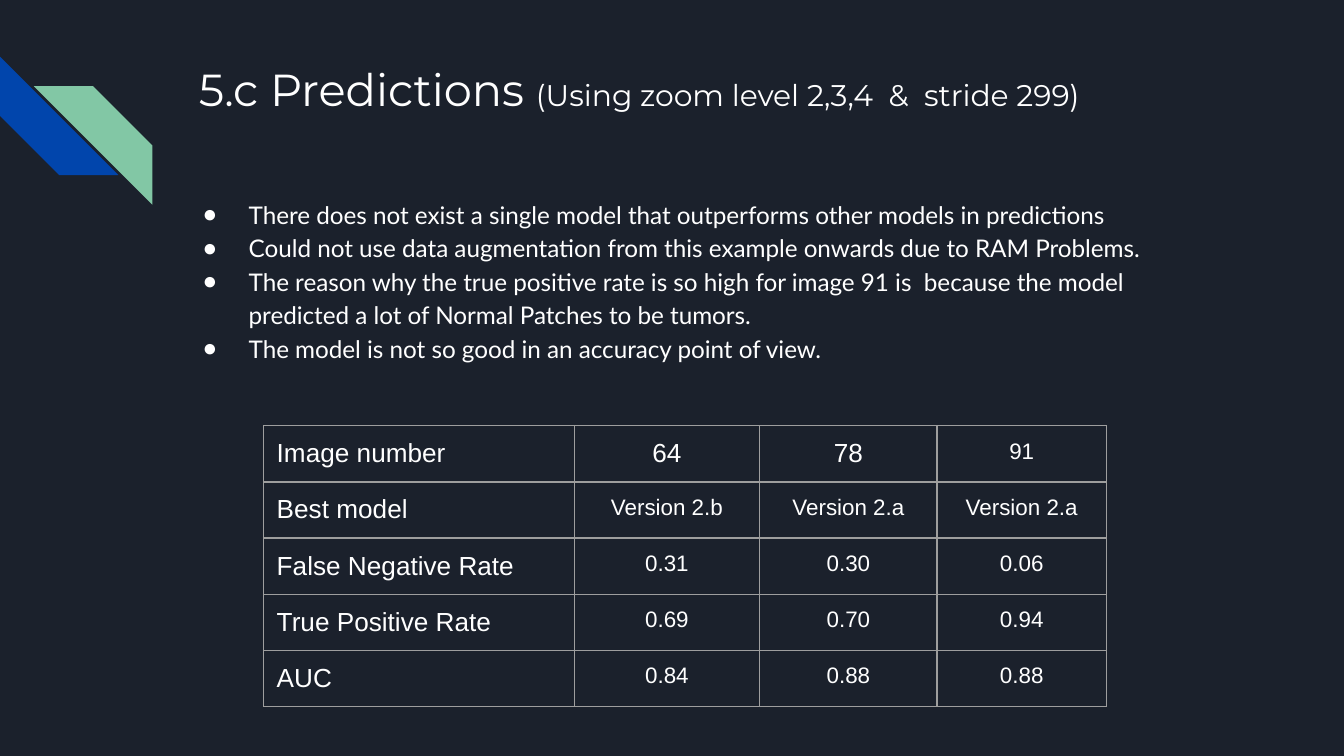
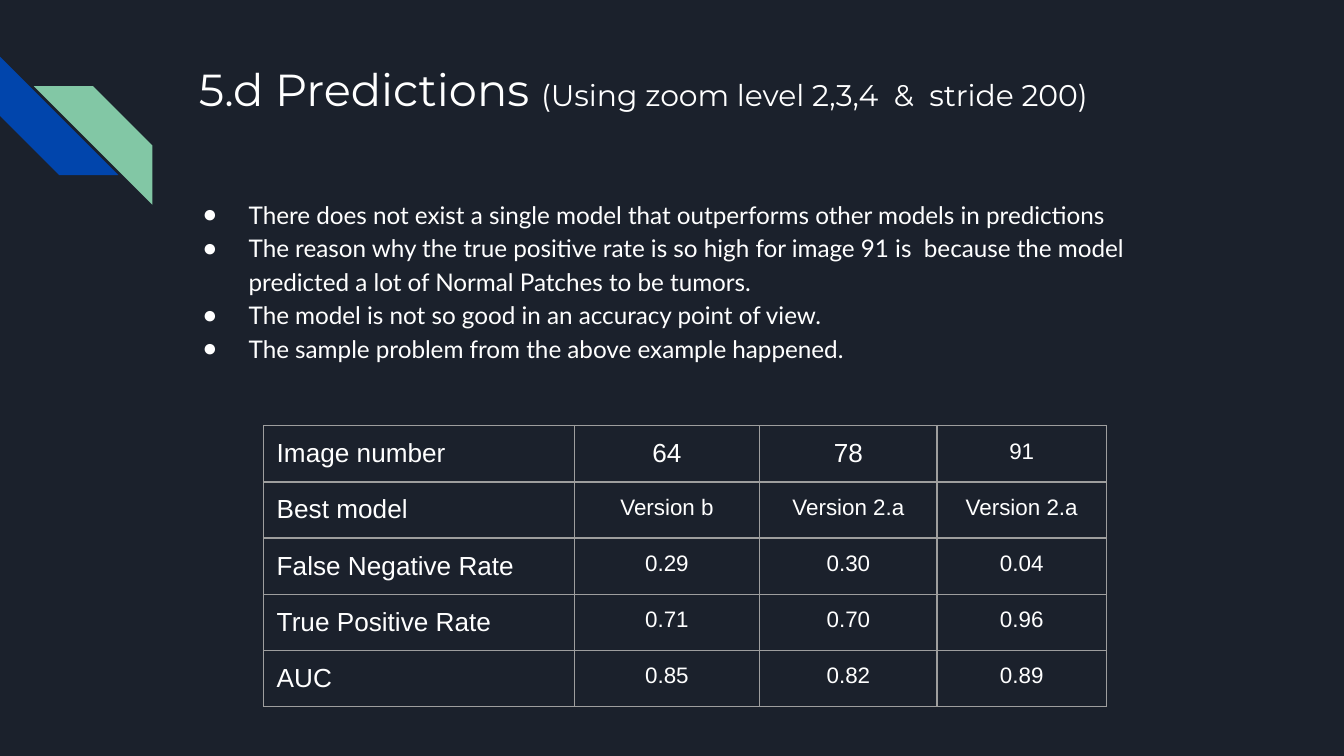
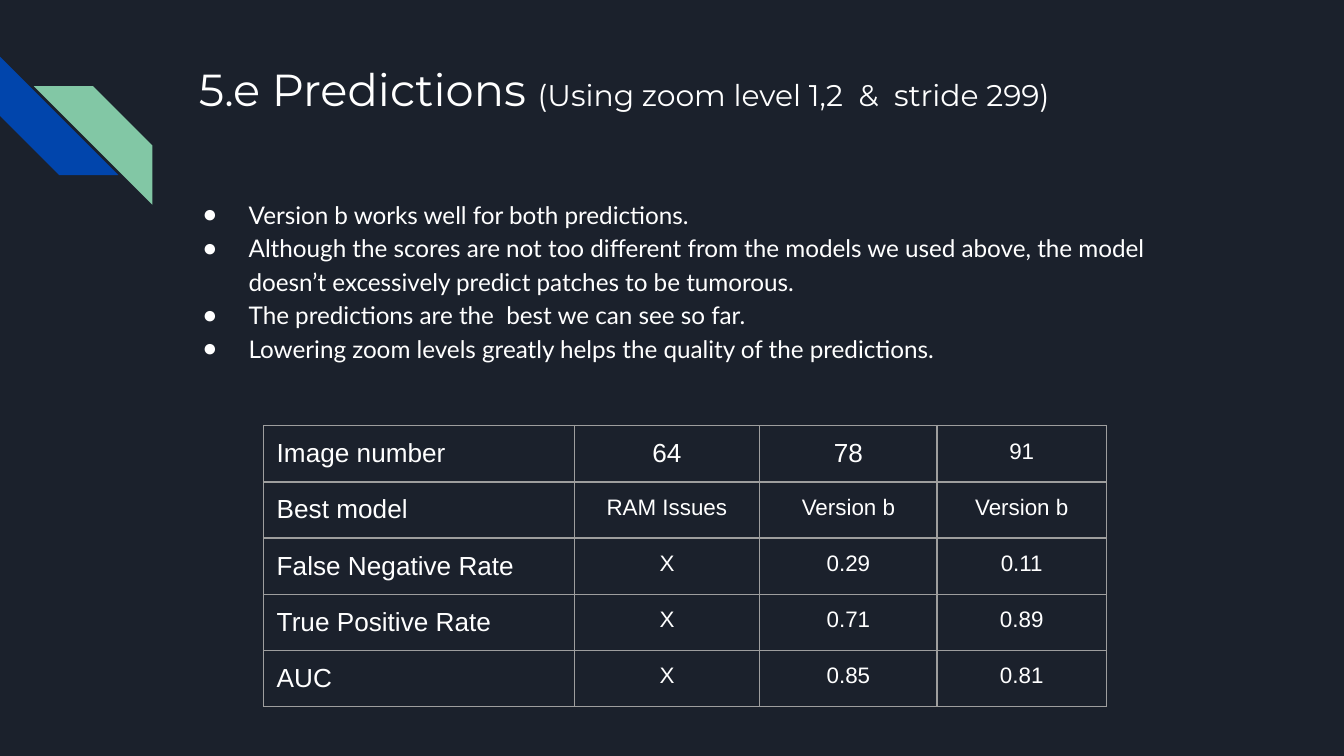
from dataclasses import dataclass

from lxml import etree
from pptx import Presentation
from pptx.dml.color import RGBColor
from pptx.enum.shapes import MSO_SHAPE
from pptx.enum.text import MSO_ANCHOR, MSO_AUTO_SIZE, PP_ALIGN
from pptx.oxml.ns import qn
from pptx.util import Cm, Pt

DIAGONAL_STRIPE = MSO_SHAPE.DIAGONAL_STRIPE
TOP = MSO_ANCHOR.TOP
NO_AUTOFIT = MSO_AUTO_SIZE.NONE
LEFT, CENTER = PP_ALIGN.LEFT, PP_ALIGN.CENTER


@dataclass(frozen=True)
class Theme:
    background: str = "1B212C"
    text: str = "FFFFFF"
    blue: str = "0145AC"
    green: str = "82C7A5"
    border: str = "9E9E9E"
    title_font: str = "Montserrat"
    body_font: str = "Lato"
    table_font: str = "Arial"
    title_size: int = 24
    subtitle_size: int = 16
    body_size: int = 13
    label_size: int = 14
    value_size: int = 12
    border_width: float = 0.75


THEME = Theme()

NO_SINGLE_MODEL = "There does not exist a single model that outperforms other models in predictions"
HIGH_POSITIVE_RATE = (
    "The reason why the true positive rate is so high for image 91 is  because the model "
    "predicted a lot of Normal Patches to be tumors."
)
LOW_ACCURACY = "The model is not so good in an accuracy point of view."

IMAGE_NUMBERS = ("Image number", "64", "78", "91")
MEASURES = ("Best model", "False Negative Rate", "True Positive Rate", "AUC")

PREDICTIONS = [
    {
        "title": "5.c Predictions ",
        "subtitle": "(Using zoom level 2,3,4  &  stride 299)",
        "bullets": [
            NO_SINGLE_MODEL,
            "Could not use data augmentation from this example onwards due to RAM Problems.",
            HIGH_POSITIVE_RATE,
            LOW_ACCURACY,
        ],
        "results": [
            ("Version 2.b", "Version 2.a", "Version 2.a"),
            ("0.31", "0.30", "0.06"),
            ("0.69", "0.70", "0.94"),
            ("0.84", "0.88", "0.88"),
        ],
    },
    {
        "title": "5.d Predictions ",
        "subtitle": "(Using zoom level 2,3,4  &  stride 200)",
        "bullets": [
            NO_SINGLE_MODEL,
            HIGH_POSITIVE_RATE,
            LOW_ACCURACY,
            "The sample problem from the above example happened.",
        ],
        "results": [
            ("Version b", "Version 2.a", "Version 2.a"),
            ("0.29", "0.30", "0.04"),
            ("0.71", "0.70", "0.96"),
            ("0.85", "0.82", "0.89"),
        ],
    },
    {
        "title": "5.e Predictions ",
        "subtitle": "(Using zoom level 1,2  &  stride 299)",
        "bullets": [
            "Version b works well for both predictions.",
            "Although the scores are not too different from the models we used above, the model "
            "doesn’t excessively predict patches to be tumorous.",
            "The predictions are the  best we can see so far.",
            "Lowering zoom levels greatly helps the quality of the predictions.",
        ],
        "results": [
            ("RAM Issues", "Version b", "Version b"),
            ("X", "0.29", "0.11"),
            ("X", "0.71", "0.89"),
            ("X", "0.85", "0.81"),
        ],
    },
]

TITLE_BOX = (3.51, 0.91, 19.56, 2.54)
BODY_BOX = (3.18, 3.45, 19.56, 9.22)
TABLE_CORNER = (4.98, 8.05)
COLUMN_WIDTHS = (5.87, 3.51, 3.35, 3.2)
ROW_HEIGHT = 1.06
INSET = Cm(0.25)
BULLET_INDENT, BULLET_HANGING = Cm(1.27), Cm(-0.87)
STRIPE_SIZE = 2.24
STRIPES = [(0, 1.07, 270, THEME.blue), (0.64, 1.63, 90, THEME.green)]


def color(value):
    return RGBColor.from_string(value)


def set_font(font, name, size=None):
    font.name = name
    font.color.rgb = color(THEME.text)
    if size:
        font.size = Pt(size)


def set_insets(item):
    item.margin_left = item.margin_right = INSET
    item.margin_top = item.margin_bottom = INSET
    item.vertical_anchor = TOP


def place(placeholder, box):
    placeholder.left, placeholder.top, placeholder.width, placeholder.height = map(Cm, box)
    frame = placeholder.text_frame
    set_insets(frame)
    frame.word_wrap = True
    frame.auto_size = NO_AUTOFIT
    return frame


def add_stripes(slide, layout):
    for left, top, rotation, fill in STRIPES:
        stripe = slide.shapes.add_shape(
            DIAGONAL_STRIPE, Cm(left), Cm(top), Cm(STRIPE_SIZE), Cm(STRIPE_SIZE)
        )
        stripe.rotation = rotation
        stripe.shadow.inherit = False
        stripe.fill.solid()
        stripe.fill.fore_color.rgb = color(fill)
        stripe.line.fill.background()
        layout.shapes.element.append(stripe.element)


def fill_title(slide, title, subtitle):
    paragraph = place(slide.shapes.title, TITLE_BOX).paragraphs[0]
    paragraph.alignment = LEFT
    set_font(paragraph.font, THEME.title_font)
    for text, size in ((title, THEME.title_size), (subtitle, THEME.subtitle_size)):
        run = paragraph.add_run()
        run.text = text
        run.font.size = Pt(size)


def add_bullet(paragraph):
    properties = paragraph.line_spacing and paragraph._p.get_or_add_pPr()
    properties.set("marL", str(BULLET_INDENT))
    properties.set("indent", str(BULLET_HANGING))
    bullet_color = etree.SubElement(properties, qn("a:buClr"))
    etree.SubElement(bullet_color, qn("a:srgbClr"), val=THEME.text)
    etree.SubElement(properties, qn("a:buChar"), char="●")


def fill_body(slide, bullets):
    frame = place(slide.placeholders[1], BODY_BOX)
    frame.text = "\n".join(bullets)
    for paragraph in frame.paragraphs:
        paragraph.alignment = LEFT
        paragraph.line_spacing = 1.15
        paragraph.space_before = Pt(0)
        add_bullet(paragraph)
        set_font(paragraph.font, THEME.body_font, THEME.body_size)


def add_borders(table_frame):
    for properties in table_frame.element.iter(qn("a:tcPr")):
        for position, side in enumerate(("lnL", "lnR", "lnT", "lnB")):
            line = etree.Element(qn(f"a:{side}"), w=str(Pt(THEME.border_width)))
            fill = etree.SubElement(line, qn("a:solidFill"))
            etree.SubElement(fill, qn("a:srgbClr"), val=THEME.border)
            properties.insert(position, line)


def add_results_table(slide, results):
    rows = [IMAGE_NUMBERS] + [(name, *values) for name, values in zip(MEASURES, results)]
    table_frame = slide.shapes.add_table(
        len(rows),
        len(COLUMN_WIDTHS),
        *map(Cm, TABLE_CORNER),
        Cm(sum(COLUMN_WIDTHS)),
        Cm(ROW_HEIGHT * len(rows)),
    )
    table = table_frame.table
    table.first_row = table.horz_banding = False
    for column, width in zip(table.columns, COLUMN_WIDTHS):
        column.width = Cm(width)
    last_column = len(COLUMN_WIDTHS) - 1
    for row_index, row in enumerate(rows):
        table.rows[row_index].height = Cm(ROW_HEIGHT)
        for column_index, text in enumerate(row):
            cell = table.cell(row_index, column_index)
            cell.text = text
            set_insets(cell)
            cell.fill.background()
            is_label = column_index == 0 or (row_index == 0 and column_index < last_column)
            paragraph = cell.text_frame.paragraphs[0]
            paragraph.alignment = CENTER if column_index else LEFT
            size = THEME.label_size if is_label else THEME.value_size
            set_font(paragraph.font, THEME.table_font, size)
    add_borders(table_frame)


def main():
    presentation = Presentation()
    presentation.slide_width, presentation.slide_height = Cm(25.4), Cm(14.29)
    background = presentation.slide_master.background.fill
    background.solid()
    background.fore_color.rgb = color(THEME.background)

    layout = presentation.slide_layouts[1]
    for placeholder in list(layout.placeholders)[2:]:
        layout.shapes.element.remove(placeholder.element)

    for index, prediction in enumerate(PREDICTIONS):
        slide = presentation.slides.add_slide(layout)
        if index == 0:
            add_stripes(slide, layout)
        fill_title(slide, prediction["title"], prediction["subtitle"])
        fill_body(slide, prediction["bullets"])
        add_results_table(slide, prediction["results"])
    presentation.save("out.pptx")


if __name__ == "__main__":
    main()
